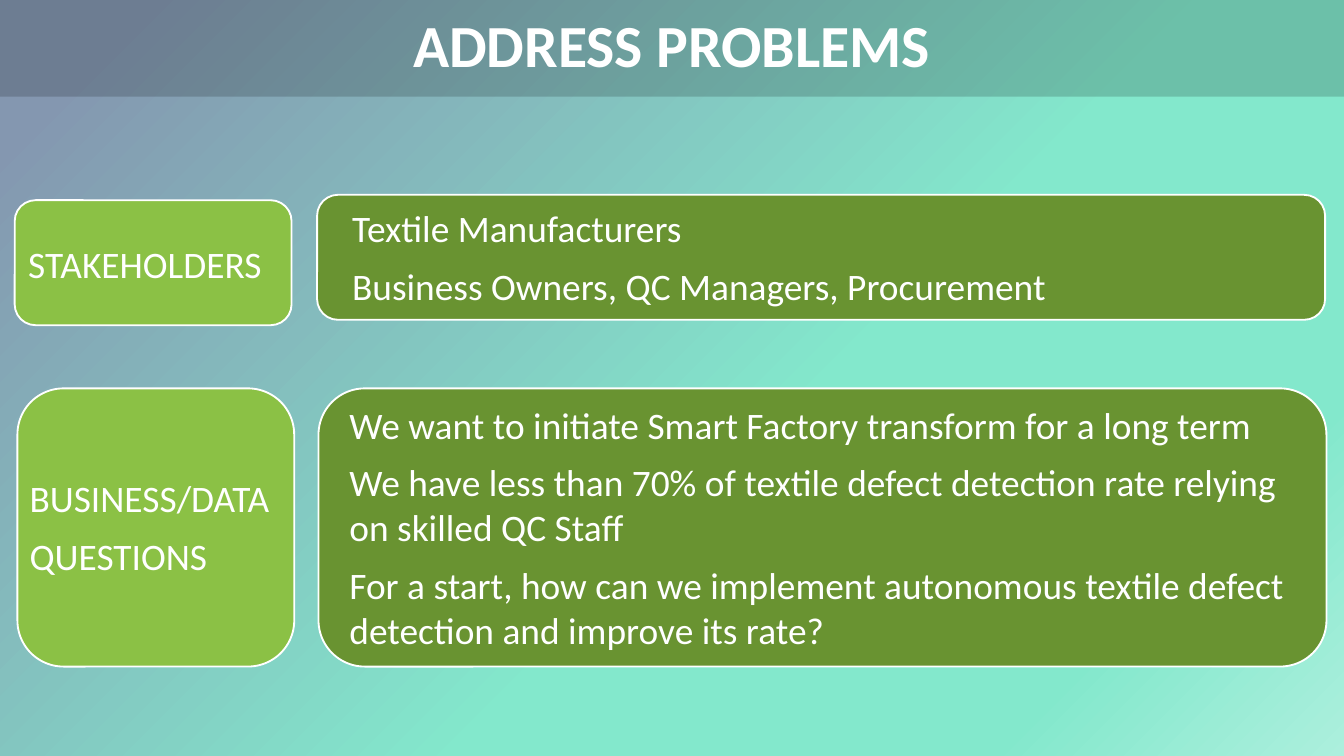
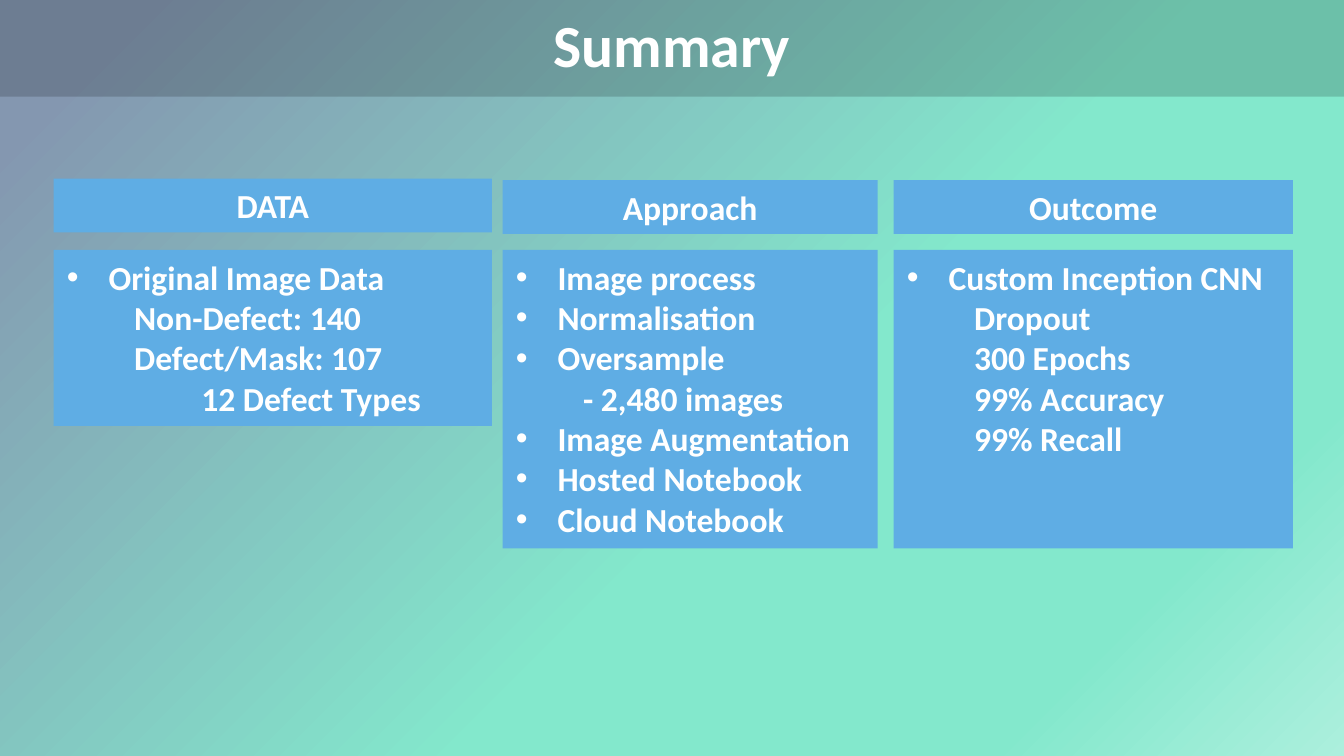
from dataclasses import dataclass
from typing import Optional

from lxml.etree import SubElement
from pptx import Presentation
from pptx.dml.color import RGBColor
from pptx.enum.shapes import MSO_SHAPE
from pptx.enum.text import MSO_ANCHOR as Anchor, MSO_AUTO_SIZE as AutoSize, PP_ALIGN as Align
from pptx.oxml.ns import qn
from pptx.shapes.autoshape import Shape
from pptx.slide import Slide
from pptx.util import Inches, Pt


@dataclass(frozen=True)
class Theme:
    font: str = "Calibri"
    white: str = "FFFFFF"
    band: str = "000000"
    band_opacity: int = 17
    label: str = "8BC145"
    content: str = "699331"
    summary: str = "5FADE4"
    background: tuple = ((7, "8497B0"), (58, "83E8CC"), (83, "83E8CC"), (100, "ACEFDD"))
    background_angle: int = 45
    title_size: int = 32
    panel_size: int = 20
    summary_size: int = 18


THEME = Theme()
BLANK_LAYOUT = 6
SLIDE_WIDTH = 10
SLIDE_HEIGHT = SLIDE_WIDTH * 9 / 16


@dataclass(frozen=True)
class Box:
    left: float
    top: float
    width: float
    height: float

    def lengths(self) -> list:
        return [Inches(value) for value in (self.left, self.top, self.width, self.height)]


@dataclass(frozen=True)
class Line:
    text: str
    level: int = 0
    bullet: bool = False


@dataclass(frozen=True)
class Panel:
    """A rounded rectangle with a text area inside it."""
    outline: Box
    text_area: Box
    color: str
    lines: tuple
    filled_text: bool = False


@dataclass(frozen=True)
class Column:
    left: float
    width: float
    height: float
    heading_top: float
    heading: str
    lines: tuple


TITLE_BAND = Box(0, 0, SLIDE_WIDTH, 0.72)

PANELS = (
    Panel(Box(0.11, 1.49, 2.06, 0.93), Box(0.13, 1.54, 2.04, 0.84), THEME.label,
          (Line("STAKEHOLDERS"),)),
    Panel(Box(2.36, 1.45, 7.5, 0.93), Box(2.54, 1.49, 7.19, 0.84), THEME.content,
          (Line("Textile Manufacturers"),
           Line("Business Owners, QC Managers, Procurement")), True),
    Panel(Box(0.13, 2.89, 2.06, 2.07), Box(0.14, 2.99, 2.04, 1.86), THEME.label,
          (Line("BUSINESS/DATA"), Line("QUESTIONS"))),
    Panel(Box(2.37, 2.89, 7.5, 2.07), Box(2.52, 2.99, 7.2, 1.86), THEME.content,
          (Line("We want to initiate Smart Factory transform for a long term"),
           Line("We have less than 70% of textile defect detection rate relying on skilled QC Staff"),
           Line("For a start, how can we implement autonomous textile defect detection "
                "and improve its rate?")), True),
)

HEADING_HEIGHT, BODY_TOP = 0.4, 1.86
COLUMNS = (
    Column(0.4, 3.26, 1.31, 1.33, "DATA", (
        Line("Original Image Data", bullet=True),
        Line("Non-Defect: 140", 1),
        Line("Defect/Mask: 107", 1),
        Line("12 Defect Types", 2))),
    Column(3.74, 2.79, 2.22, 1.34, "Approach", (
        Line("Image process", bullet=True),
        Line("Normalisation", bullet=True),
        Line("Oversample", bullet=True),
        Line("- 2,480 images", 1),
        Line("Image Augmentation", bullet=True),
        Line("Hosted Notebook", bullet=True),
        Line("Cloud Notebook", bullet=True))),
    Column(6.65, 2.97, 2.22, 1.34, "Outcome", (
        Line("Custom Inception CNN", bullet=True),
        Line("Dropout", 1),
        Line("300 Epochs", 1),
        Line("99% Accuracy", 1),
        Line("99% Recall", 1))),
)
BULLET_INDENT = 0.31
LEVEL_INDENT = 0.5


def apply_format(target: object, values: dict) -> None:
    for name, value in values.items():
        setattr(target, name, value)


def add_box(shapes, box: Box, fill: Optional[str], line: Optional[str] = None,
            kind: MSO_SHAPE = MSO_SHAPE.RECTANGLE) -> Shape:
    """Add a shape, or a text box when there is no fill."""
    if fill is None:
        return shapes.add_textbox(*box.lengths())
    shape = shapes.add_shape(kind, *box.lengths())
    shape.shadow.inherit = False
    shape.fill.solid()
    shape.fill.fore_color.rgb = RGBColor.from_string(fill)
    if line:
        shape.line.color.rgb = RGBColor.from_string(line)
        shape.line.width = Pt(1)
    else:
        shape.line.fill.background()
    return shape


def indent_paragraph(paragraph, line: Line) -> None:
    paragraph.level = line.level
    properties = paragraph._p.get_or_add_pPr()
    margin = BULLET_INDENT if line.bullet else LEVEL_INDENT * line.level
    properties.set("marL", str(Inches(margin)))
    properties.set("indent", str(-Inches(BULLET_INDENT) if line.bullet else 0))
    if line.bullet:
        SubElement(properties, qn("a:buFont")).set("typeface", "Arial")
        SubElement(properties, qn("a:buChar")).set("char", "•")


def write_lines(shape: Shape, lines: tuple, size: int, bold: bool,
                frame_format: dict, paragraph_format: dict) -> None:
    frame = shape.text_frame
    apply_format(frame, {"word_wrap": True, **frame_format})
    for index, line in enumerate(lines):
        paragraph = frame.paragraphs[0] if index == 0 else frame.add_paragraph()
        apply_format(paragraph, paragraph_format)
        indent_paragraph(paragraph, line)
        run = paragraph.add_run()
        run.text = line.text
        apply_format(run.font, {"name": THEME.font, "size": Pt(size), "bold": bold})
        run.font.color.rgb = RGBColor.from_string(THEME.white)


def paint_background(slide: Slide) -> None:
    fill = slide.background.fill
    fill.gradient()
    gradient = slide.background._cSld.find(".//" + qn("a:gradFill"))
    stops = gradient.find(qn("a:gsLst"))
    for stop in list(stops):
        stops.remove(stop)
    for position, color in THEME.background:
        stop = SubElement(stops, qn("a:gs"), pos=str(position * 1000))
        SubElement(stop, qn("a:srgbClr"), val=color)
    gradient.find(qn("a:lin")).set("ang", str(THEME.background_angle * 60000))


def add_titled_slide(presentation, title: str) -> Slide:
    slide = presentation.slides.add_slide(presentation.slide_layouts[BLANK_LAYOUT])
    paint_background(slide)
    band = add_box(slide.shapes, TITLE_BAND, THEME.band)
    color = band._element.spPr.find(qn("a:solidFill"))[0]
    SubElement(color, qn("a:alpha"), val=str(THEME.band_opacity * 1000))
    write_lines(band, (Line(title),), THEME.title_size, True,
                {"vertical_anchor": Anchor.MIDDLE},
                {"alignment": Align.CENTER, "line_spacing": 0.9})
    return slide


def add_panel(slide: Slide, panel: Panel) -> None:
    group = slide.shapes.add_group_shape()
    add_box(group.shapes, panel.outline, panel.color, THEME.white, MSO_SHAPE.ROUNDED_RECTANGLE)
    text = add_box(group.shapes, panel.text_area, panel.color if panel.filled_text else None)
    margins = {f"margin_{side}": Inches(0.08) for side in ("left", "top", "right", "bottom")}
    write_lines(text, panel.lines, THEME.panel_size, False,
                {"vertical_anchor": Anchor.MIDDLE, **margins},
                {"alignment": Align.LEFT, "space_after": Pt(7)})


def add_column(slide: Slide, column: Column) -> None:
    parts = (
        (BODY_TOP, column.height, column.lines, Align.LEFT),
        (column.heading_top, HEADING_HEIGHT, (Line(column.heading),), Align.CENTER),
    )
    for top, height, lines, alignment in parts:
        shape = add_box(slide.shapes, Box(column.left, top, column.width, height), THEME.summary)
        write_lines(shape, lines, THEME.summary_size, True,
                    {"vertical_anchor": Anchor.TOP, "auto_size": AutoSize.SHAPE_TO_FIT_TEXT},
                    {"alignment": alignment})


def main() -> None:
    presentation = Presentation()
    presentation.slide_width = Inches(SLIDE_WIDTH)
    presentation.slide_height = Inches(SLIDE_HEIGHT)

    problems = add_titled_slide(presentation, "ADDRESS PROBLEMS")
    for panel in PANELS:
        add_panel(problems, panel)

    summary = add_titled_slide(presentation, "Summary")
    for column in COLUMNS:
        add_column(summary, column)

    presentation.save("out.pptx")


if __name__ == "__main__":
    main()
